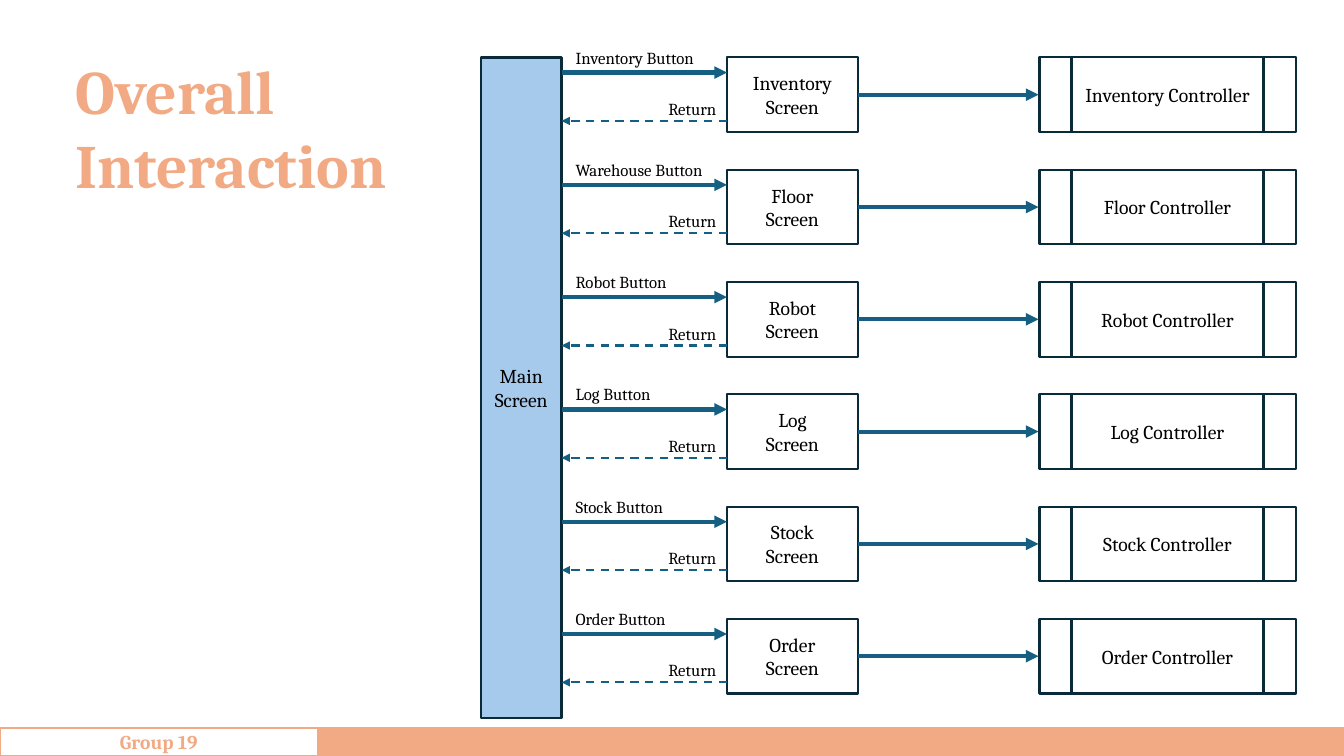
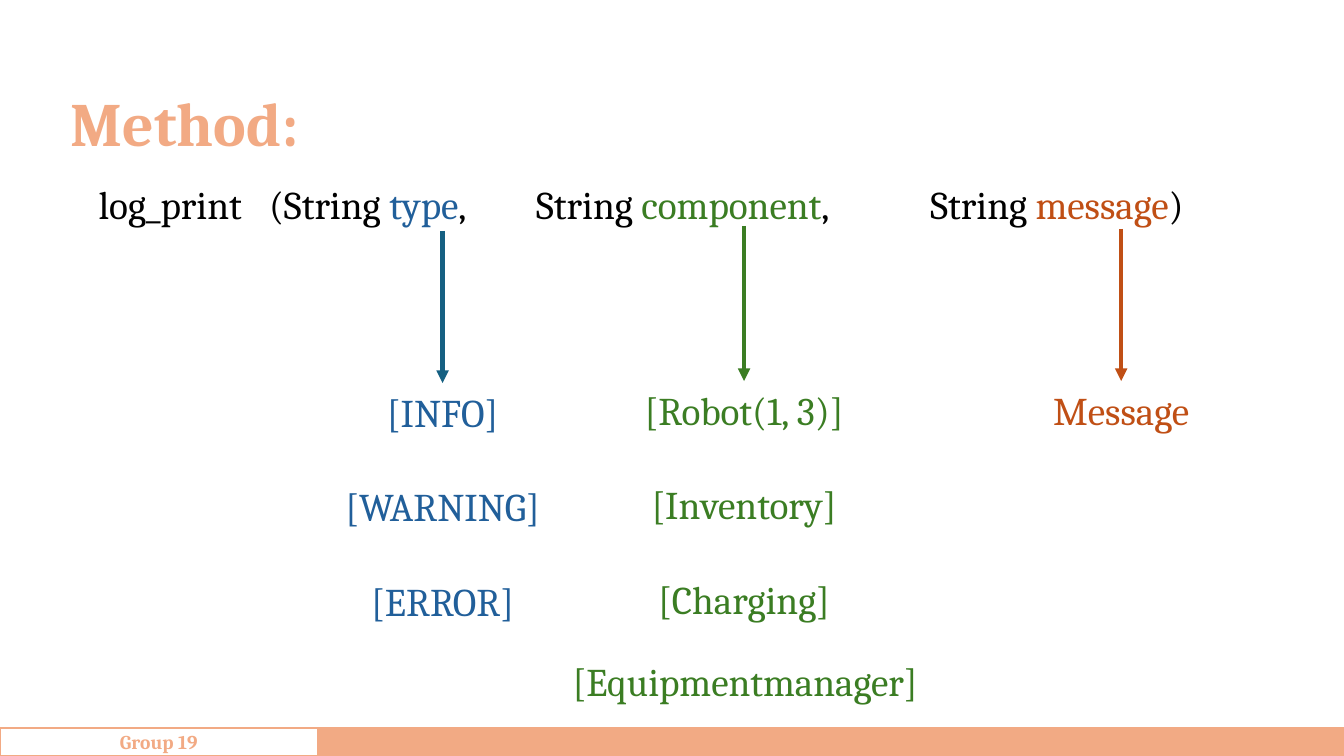
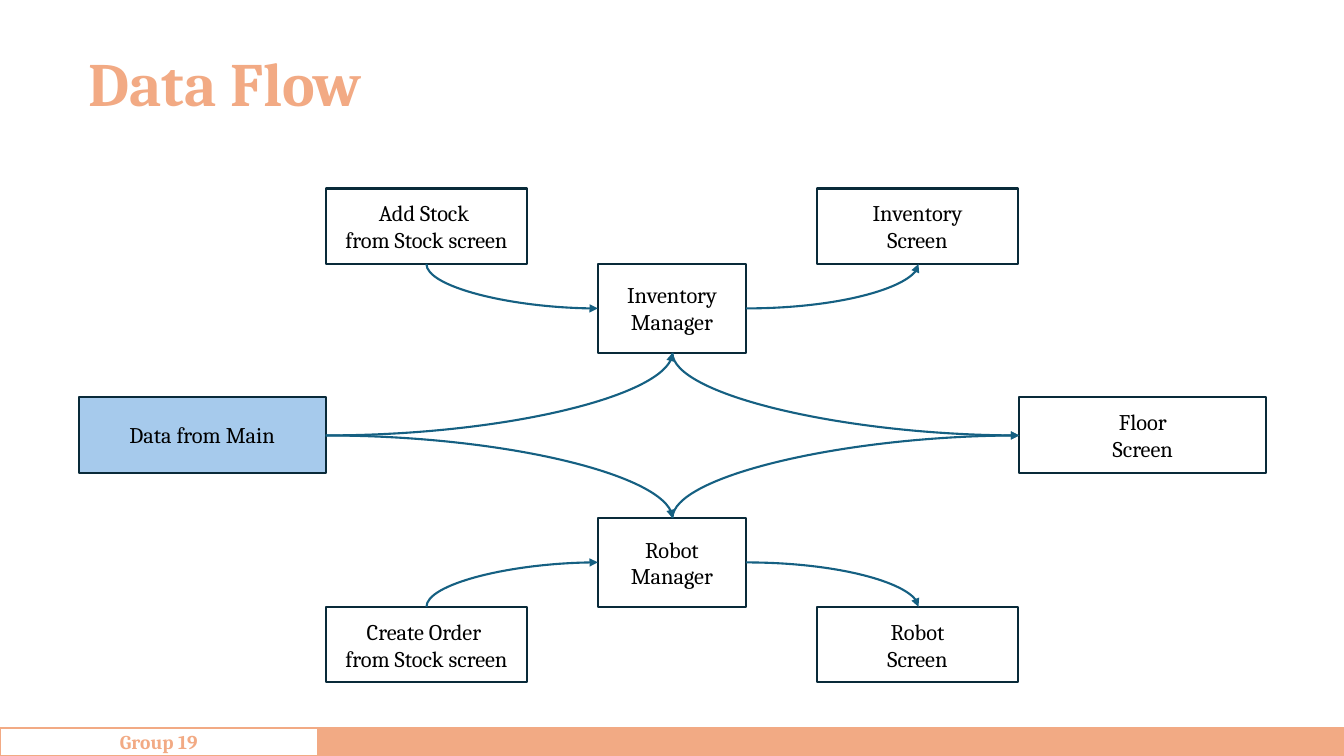
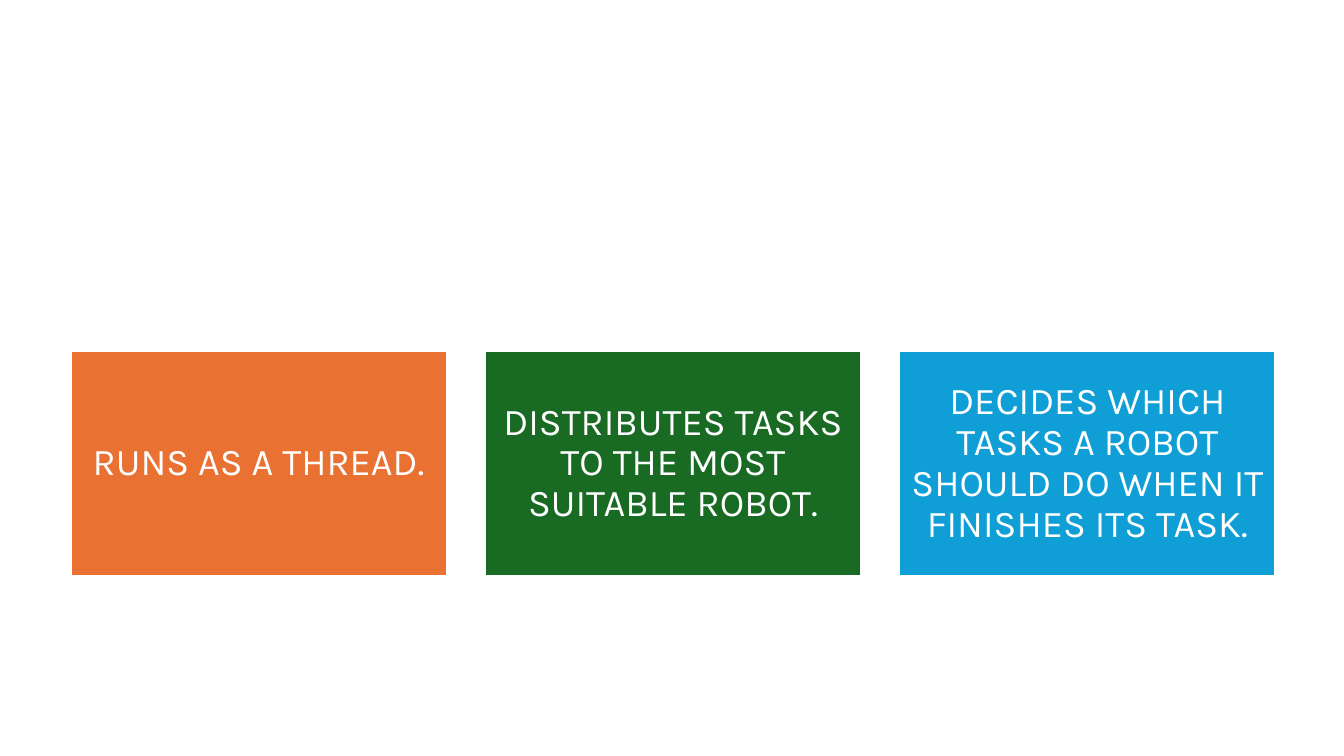
from dataclasses import dataclass

from lxml import etree
from pptx import Presentation
from pptx import util as u
from pptx.dml.color import RGBColor
from pptx.enum import dml, shapes, text
from pptx.oxml import ns


@dataclass(frozen=True)
class Theme:
    font: str = "Cambria"
    card_font: str = "Karla"
    black: str = "000000"
    white: str = "FFFFFF"
    peach: str = "F2AA84"
    outline: str = "092A39"
    arrow: str = "156082"
    start: str = "A6CAEC"
    blue: str = "215F9A"
    green: str = "3B7D23"
    rust: str = "C04F15"
    cards: tuple = ("E97132", "196B24", "0F9ED5")
    title: int = 44
    code: int = 28
    card: int = 27
    flow: int = 16
    node: int = 14
    label: int = 12
    thin: float = 1.5
    thick: float = 3


class Deck:
    def __init__(self, theme):
        self.theme = theme
        self.presentation = Presentation()
        self.presentation.slide_width = u.Inches(13.33)
        self.presentation.slide_height = u.Inches(7.5)
        self.slide = None

    def new_slide(self, footer=True):
        self.slide = self.presentation.slides.add_slide(self.presentation.slide_layouts[6])
        if footer:
            peach = self.theme.peach
            self.box(3.15, 7.22, 10.18, 0.28, fill=peach, line=peach)
            self.box(0, 7.22, 3.15, 0.28, "Group 19", line=peach, color=peach, bold=True)

    def style_run(self, run, size, color, bold=False, font=None):
        run.font.name = font or self.theme.font
        run.font.size = u.Pt(size)
        run.font.bold = bold
        run.font.color.rgb = RGBColor.from_string(color)

    def fill_text(self, shape, content, size, color, bold=False, font=None,
                  align=text.PP_ALIGN.LEFT, anchor=text.MSO_ANCHOR.TOP, spacing=None, gap=0):
        frame = shape.text_frame
        frame.word_wrap = True
        frame.vertical_anchor = anchor
        frame.text = content
        for index, paragraph in enumerate(frame.paragraphs):
            paragraph.alignment = align
            paragraph.line_spacing = spacing
            if index:
                paragraph.space_before = u.Pt(gap)
            for run in paragraph.runs:
                self.style_run(run, size, color, bold, font)

    def text_box(self, left, top, width, height, content, size, color, **style):
        shape = self.slide.shapes.add_textbox(*map(u.Inches, (left, top, width, height)))
        self.fill_text(shape, content, size, color, **style)
        return shape

    def title(self, left, top, width, height, content, **style):
        self.text_box(left, top, width, height, content, self.theme.title,
                      self.theme.peach, bold=True, **style)

    def box(self, left, top, width, height, content="", size=None, fill=None, line=None,
            color=None, kind=shapes.MSO_SHAPE.RECTANGLE, **style):
        theme = self.theme
        shape = self.slide.shapes.add_shape(kind, *map(u.Inches, (left, top, width, height)))
        shape.shadow.inherit = False
        shape.fill.solid()
        shape.fill.fore_color.rgb = RGBColor.from_string(fill or theme.white)
        shape.line.color.rgb = RGBColor.from_string(line or theme.outline)
        shape.line.width = u.Pt(theme.thin)
        if content:
            self.fill_text(shape, content, size or theme.node, color or theme.black,
                           align=text.PP_ALIGN.CENTER, anchor=text.MSO_ANCHOR.MIDDLE, **style)
        return shape

    def arrow(self, start, end, color=None, width=None, dashed=False,
              kind=shapes.MSO_CONNECTOR.STRAIGHT):
        connector = self.slide.shapes.add_connector(kind, *map(u.Inches, (*start, *end)))
        connector.line.color.rgb = RGBColor.from_string(color or self.theme.arrow)
        connector.line.width = u.Pt(width or self.theme.thick)
        if dashed:
            connector.line.dash_style = dml.MSO_LINE.DASH
        properties = connector._element.spPr
        etree.SubElement(properties.find(ns.qn("a:ln")), ns.qn("a:tailEnd"), type="triangle")
        etree.SubElement(properties, ns.qn("a:effectLst"))
        return connector

    def curve(self, start, end, leaves_vertically=False):
        (x1, y1), (x2, y2) = start, end
        down = y2 > y1
        if leaves_vertically:
            middle_x, middle_y = (x1 + x2) / 2, (y1 + y2) / 2
            half_width = abs(y2 - y1) / 2
            half_height = (x2 - x1) / 2 * (1 if down else -1)
            start = middle_x + half_width, middle_y - half_height
            end = middle_x - half_width, middle_y + half_height
        connector = self.arrow(start, end, width=self.theme.thin, kind=shapes.MSO_CONNECTOR.CURVE)
        properties = connector._element.spPr
        properties.find(ns.qn("a:prstGeom")).set("prst", "curvedConnector2")
        if leaves_vertically:
            degrees = 270 if down else 90
            properties.find(ns.qn("a:xfrm")).set("rot", str(degrees * 60000))

    def signature(self, left, top, width, height, parts, tab_stops):
        shape = self.text_box(left, top, width, height, "", self.theme.code, self.theme.black,
                              anchor=text.MSO_ANCHOR.MIDDLE, spacing=0.9)
        paragraph = shape.text_frame.paragraphs[0]
        tab_list = etree.SubElement(paragraph._p.get_or_add_pPr(), ns.qn("a:tabLst"))
        for stop in tab_stops:
            etree.SubElement(tab_list, ns.qn("a:tab"), pos=str(u.Inches(stop)), algn="l")
        for content, color in parts:
            run = paragraph.add_run()
            run.text = content
            self.style_run(run, self.theme.code, color)


def overall_interaction(deck):
    theme = deck.theme
    deck.new_slide()
    deck.title(0.65, 0.48, 3.41, 1.58, "Overall Interaction")
    deck.box(4.77, 0.57, 0.8, 6.55, "Main\vScreen", fill=theme.start)
    names = ["Inventory", "Floor", "Robot", "Log", "Stock", "Order"]
    first, last = 0.57, 6.14
    pitch = (last - first) / (len(names) - 1)
    for index, name in enumerate(names):
        top = first + index * pitch
        button = "Warehouse" if name == "Floor" else name
        deck.box(7.21, top, 1.3, 0.74, f"{name}\vScreen")
        deck.box(10.31, top, 2.54, 0.74, f"{name} Controller",
                 kind=shapes.MSO_SHAPE.FLOWCHART_PREDEFINED_PROCESS)
        deck.arrow((5.57, top + 0.15), (7.21, top + 0.15))
        deck.arrow((7.21, top + 0.63), (5.57, top + 0.63), width=theme.thin, dashed=True)
        deck.arrow((8.51, top + 0.37), (10.3, top + 0.37))
        deck.text_box(5.61, top - 0.15, 1.6, 0.3, f"{button} Button", theme.label, theme.black)
        deck.text_box(6.53, top + 0.36, 0.8, 0.3, "Return", theme.label, theme.black)


def method(deck):
    theme = deck.theme
    deck.new_slide()
    deck.title(0.6, 0.79, 3, 0.84, "Method:")
    deck.signature(0.88, 1.33, 11.85, 1.45, [
        ("log_print\t(String ", theme.black), ("type", theme.blue),
        (",\tString ", theme.black), ("component", theme.green),
        (",\tString ", theme.black), ("message", theme.rust), (")", theme.black),
    ], tab_stops=(1.69, 4.34, 8.25))
    center = text.PP_ALIGN.CENTER
    columns = [
        (4.39, 2.29, 3.8, 2.25, 2.46, "[INFO]\n[WARNING]\n[ERROR]", theme.blue, theme.arrow),
        (7.38, 2.24, 3.78, 2.36, 2.46, "[Robot(1, 3)]\n[Inventory]\n[Charging]",
         theme.green, theme.green),
        (11.12, 2.27, 3.78, 2.25, 0.57, "Message", theme.rust, theme.rust),
    ]
    for x, arrow_top, top, width, height, values, color, arrow_color in columns:
        deck.text_box(x - width / 2, top, width, height, values, theme.code, color,
                      align=center, gap=34)
        deck.arrow((x, arrow_top), (x, top), color=arrow_color)
    deck.text_box(5.5, 6.47, 3.78, 0.57, "[Equipmentmanager]", theme.code, theme.green,
                  align=center)


def data_flow(deck):
    theme = deck.theme
    deck.new_slide()
    deck.title(0.78, 0.13, 11.5, 1.45, "Data Flow", anchor=text.MSO_ANCHOR.MIDDLE, spacing=0.9)
    nodes = [
        (5.93, 2.62, 1.47, 0.88, "Inventory Manager"),
        (5.93, 5.14, 1.47, 0.88, "Robot Manager"),
        (3.23, 1.87, 2, 0.75, "Add Stock \nfrom Stock screen"),
        (8.1, 1.87, 2, 0.75, "Inventory\vScreen"),
        (3.23, 6.02, 2, 0.75, "Create Order \nfrom Stock screen"),
        (8.1, 6.02, 2, 0.75, "Robot\vScreen"),
        (10.11, 3.94, 2.45, 0.75, "Floor\vScreen"),
    ]
    for node in nodes:
        deck.box(*node, size=theme.flow)
    deck.box(0.78, 3.94, 2.45, 0.75, "Data from Main", size=theme.flow, fill=theme.start)
    main_exit, floor_entry = (3.23, 4.32), (10.11, 4.32)
    for manager_y, outer_y, inner_y in [(3.06, 2.62, 3.5), (5.58, 6.02, 5.14)]:
        deck.curve((4.23, outer_y), (5.93, manager_y), leaves_vertically=True)
        deck.curve((7.4, manager_y), (9.11, outer_y))
        deck.curve((6.67, inner_y), floor_entry, leaves_vertically=True)
        deck.curve(main_exit, (6.67, inner_y))


def task_cards(deck):
    theme = deck.theme
    deck.new_slide(footer=False)
    messages = [
        "RUNS AS A THREAD.",
        "DISTRIBUTES TASKS TO THE MOST SUITABLE ROBOT.",
        "DECIDES WHICH TASKS A ROBOT SHOULD DO WHEN IT FINISHES ITS TASK.",
    ]
    for index, (message, fill) in enumerate(zip(messages, theme.cards)):
        card = deck.box(0.7 + index * 4.11, 3.48, 3.73, 2.24, message, theme.card, fill,
                        theme.white, theme.white, font=theme.card_font, spacing=0.9)
        frame = card.text_frame
        frame.margin_left = frame.margin_right = u.Inches(0.11)
        frame.margin_top = frame.margin_bottom = u.Inches(0.11)


def main():
    deck = Deck(Theme())
    for build in (overall_interaction, method, data_flow, task_cards):
        build(deck)
    deck.presentation.save("out.pptx")


if __name__ == "__main__":
    main()
